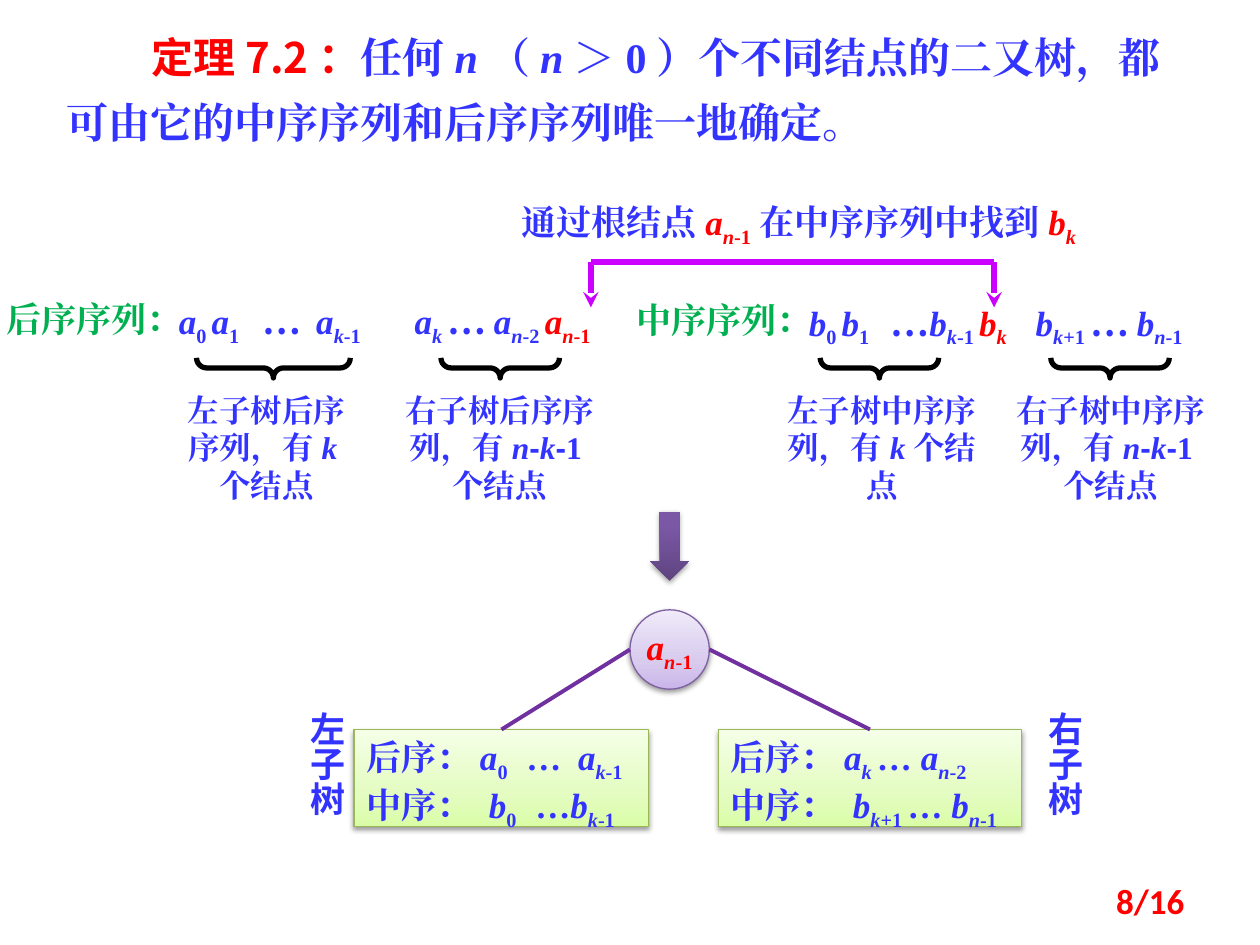
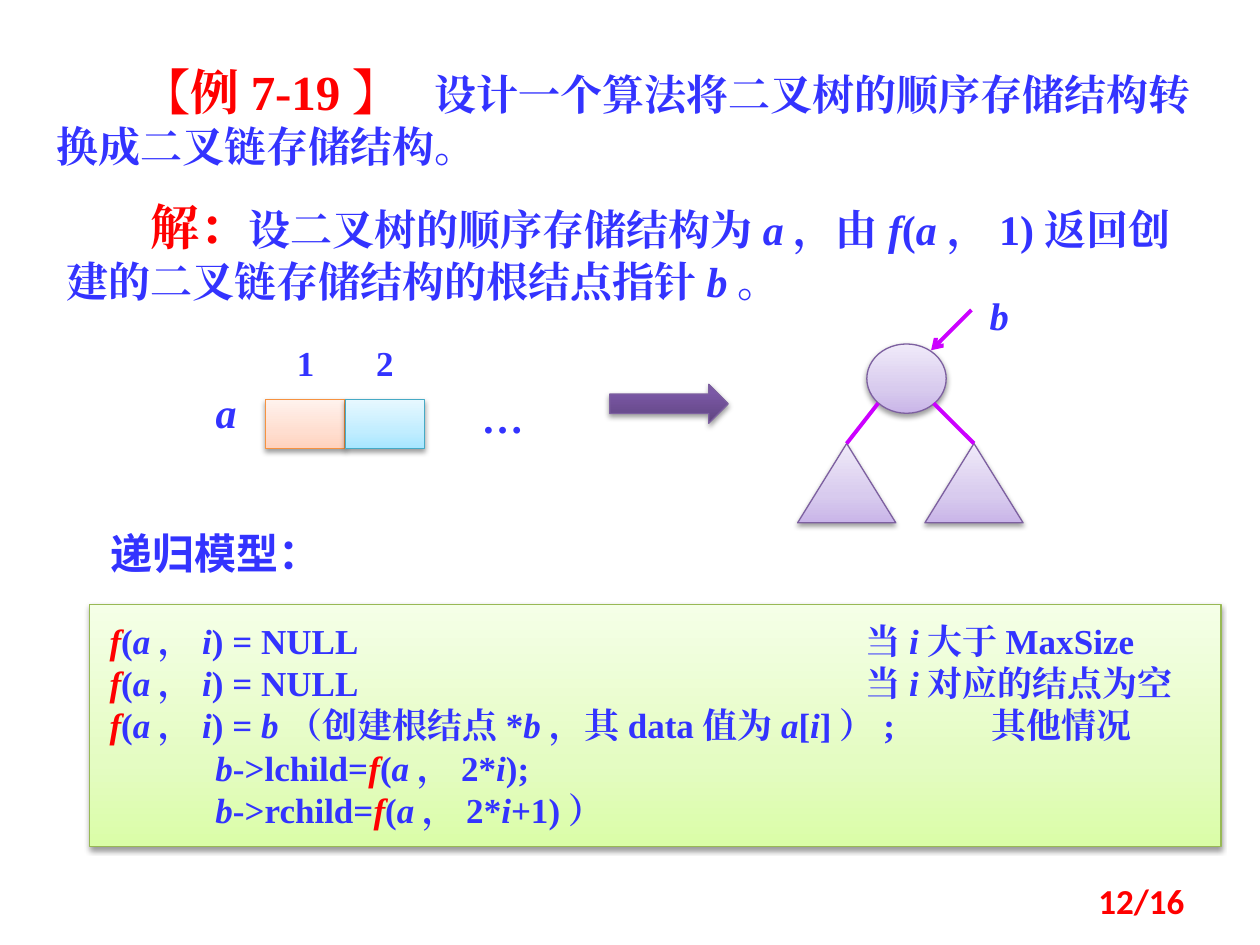
from pptx import Presentation
from pptx.dml.color import RGBColor
from pptx.enum.shapes import MSO_CONNECTOR, MSO_SHAPE
from pptx.enum.text import MSO_ANCHOR, MSO_AUTO_SIZE, PP_ALIGN
from pptx.oxml import parse_xml
from pptx.oxml.ns import nsdecls
from pptx.util import Emu, Inches, Pt

COLOURS = {"text": "3333FF", "key": "FF0000", "label": "00B050", "brace": "000000",
           "pointer": "CC00FF", "branch": "7030A0"}
GRADIENTS = {
    "node": [(0, "C9B5E8"), (35, "D8CBEE"), (100, "F0EAF9")],
    "panel": [(0, "DAFDA7"), (35, "E4FCC2"), (100, "F5FFE7")],
    "first": [(0, "FFD2BD"), (35, "FFDED0"), (100, "FFF2ED")],
    "second": [(0, "A7E6FF"), (35, "C1EDFF"), (100, "E7F8FF")],
    "arrow": [(0, "5F4480"), (80, "7B58A6"), (100, "7C57A8")],
}
OUTLINES = {"node": "7D60A0", "panel": "98B955", "first": "F69240",
            "second": "46AAC5", "arrow": "7D60A0"}
SERIF, SANS, HYPHEN, NUMERALS = "Times New Roman", "Noto Sans CJK SC", "Arial", "Calibri"
MARKS = {"~": "italic", "_": "subscript", "^": "key", "@": "sans", "%": "hyphen", "#": "big"}
PADDED = (0.1, 0.05)
FLUSH = (0, 0)


def rgb(value):
    return RGBColor.from_string(value)


def assign(target, values):
    for name, value in values.items():
        setattr(target, name, value)


def marked_pieces(line):
    """Yield (text, active styles); each character of MARKS switches its style on or off."""
    active, text = set(), ""
    for char in line:
        if char in MARKS:
            if text:
                yield text, frozenset(active)
            active ^= {MARKS[char]}
            text = ""
        else:
            text += char
    if text:
        yield text, frozenset(active)


def add_runs(paragraph, line, size, colour, font):
    for text, styles in marked_pieces(line):
        run = paragraph.add_run()
        run.text = text
        face = SANS if "sans" in styles else HYPHEN if "hyphen" in styles else font
        assign(run.font, {"size": Pt(28 if "big" in styles else size), "name": face,
                          "bold": True, "italic": "italic" in styles})
        run.font.color.rgb = rgb(COLOURS["key" if "key" in styles else colour])
        properties = run._r.get_or_add_rPr()
        if "subscript" in styles:
            properties.set("baseline", "-25000")
        properties.find("{*}latin").addnext(
            parse_xml(f'<a:ea {nsdecls("a")} typeface="{face}"/>'))


def set_tabs(paragraph, stops):
    tabs = "".join(f'<a:tab pos="{Inches(stop)}" algn="l"/>' for stop in stops)
    paragraph._p.get_or_add_pPr().append(
        parse_xml(f'<a:tabLst {nsdecls("a")}>{tabs}</a:tabLst>'))


def write(shape, lines, size=20, colour="text", font=SERIF, align=PP_ALIGN.LEFT,
          insets=PADDED, anchor=MSO_ANCHOR.TOP, tabs=(), indent=0, spacing=None):
    """Fill a shape with marked lines; tabs holds one list of stops per line."""
    frame = shape.text_frame
    across, down = map(Inches, insets)
    assign(frame, {"word_wrap": True, "auto_size": MSO_AUTO_SIZE.NONE,
                   "vertical_anchor": anchor, "margin_left": across,
                   "margin_right": across, "margin_top": down, "margin_bottom": down})
    for index, line in enumerate(lines):
        paragraph = frame.paragraphs[0] if index == 0 else frame.add_paragraph()
        if index < len(tabs) and tabs[index]:
            set_tabs(paragraph, tabs[index])
        assign(paragraph, {"alignment": align, "line_spacing": spacing})
        if indent:
            paragraph._p.get_or_add_pPr().set("indent", str(Inches(indent)))
        add_runs(paragraph, line, size, colour, font)


def add_text(slide, box, *lines, **style):
    label = slide.shapes.add_textbox(*map(Inches, box))
    write(label, lines, **style)
    return label


def add_title(slide, box, line, **style):
    title = slide.shapes.title
    assign(title, dict(zip(("left", "top", "width", "height"), map(Inches, box))))
    write(title, [line], size=24, indent=0.67, **style)


def add_page_number(slide, number):
    add_text(slide, (7.17, 6.95, 2.33, 0.4), f"{number}/16", colour="key", font=NUMERALS,
             align=PP_ALIGN.RIGHT, anchor=MSO_ANCHOR.MIDDLE)


def add_solid(slide, kind, box, look, outlined=True):
    """Add a preset shape with a vertical gradient and a soft shadow."""
    solid = slide.shapes.add_shape(kind, *map(Inches, box))
    stops = "".join(f'<a:gs pos="{position * 1000}"><a:srgbClr val="{colour}"/></a:gs>'
                    for position, colour in GRADIENTS[look])
    solid._element.spPr.find("{*}prstGeom").addnext(parse_xml(
        f'<a:gradFill {nsdecls("a")} rotWithShape="1"><a:gsLst>{stops}</a:gsLst>'
        '<a:lin ang="16200000" scaled="1"/></a:gradFill>'))
    if outlined:
        solid.line.color.rgb = rgb(OUTLINES[look])
        solid.line.width = Pt(0.75)
    else:
        solid.line.fill.background()
    solid.shadow.inherit = False
    solid._element.spPr.find("{*}effectLst").append(parse_xml(
        f'<a:outerShdw {nsdecls("a")} blurRad="{Pt(3.1)}" dist="{Pt(1.6)}" dir="5400000" '
        'rotWithShape="0"><a:srgbClr val="000000"><a:alpha val="38000"/></a:srgbClr>'
        '</a:outerShdw>'))
    return solid


def add_line(slide, start, end, colour, width, head=None, target=None):
    """Draw a line; it joins the top of target when one is given."""
    line = slide.shapes.add_connector(MSO_CONNECTOR.STRAIGHT, *map(Inches, (*start, *end)))
    if target is not None:
        line.end_connect(target, 0)
    line.line.color.rgb = rgb(COLOURS[colour])
    line.line.width = Pt(width)
    if head:
        line.line._get_or_add_ln().append(
            parse_xml(f'<a:tailEnd {nsdecls("a")} type="{head}"/>'))
    line._element.spPr.append(parse_xml(f'<a:effectLst {nsdecls("a")}/>'))


def add_brace(slide, centre, top, length):
    """Draw a brace that lies flat and points down."""
    depth = 0.16
    brace = slide.shapes.add_shape(
        MSO_SHAPE.LEFT_BRACE, Inches(centre - depth / 2),
        Inches(top + depth / 2 - length / 2), Inches(depth), Inches(length))
    brace.rotation = 270
    brace.adjustments[0] = 0.5
    brace.fill.background()
    brace.line.color.rgb = rgb(COLOURS["brace"])
    brace.line.width = Pt(3)
    brace.shadow.inherit = False


def add_sequence(slide, box, name, terms, stops, parts):
    """Place a named sequence; parts are (caption left, width, brace centre, length, caption)."""
    left, top, width = box
    add_text(slide, (left, top, 1.5, 0.33), name, colour="label",
             align=PP_ALIGN.CENTER, insets=FLUSH)
    add_text(slide, (left + 1.42, top + 0.02, width, 0.34), terms, insets=FLUSH, tabs=[stops])
    for offset, caption_width, centre, length, caption in parts:
        add_brace(slide, left + centre, 2.84, length)
        add_text(slide, (left + offset, 3.1, caption_width, 0.91), caption, size=18,
                 align=PP_ALIGN.CENTER, insets=FLUSH)


def add_root_lookup(slide, box):
    left, top, width, drop = box
    right = left + width
    add_line(slide, (left, top), (right, top), "pointer", 3)
    for x in (left, right):
        add_line(slide, (x, top), (x, top + drop), "pointer", 3, "stealth")
    add_text(slide, (left - 0.55, top - 0.49, 4.63, 0.34),
             "通过根结点^~a~_~n~-1_^在中序序列中找到^~b~_~k~_^", insets=FLUSH)


def add_subtrees(slide, box):
    left, top = box
    root_left, root_size = left + 2.73, 0.63
    root = add_solid(slide, MSO_SHAPE.OVAL, (root_left, top, root_size, root_size), "node")
    write(root, ["^~a~_~n~-1_^"], align=PP_ALIGN.CENTER, insets=(0, 0.05),
          anchor=MSO_ANCHOR.MIDDLE)
    subtrees = [
        ("左子树", 0, 0.54, 2.34, root_left,
         ["后序：~a~_0_\t…\t~a~_~k~-1_", "中序： ~b~_0_\t…~b~_~k~-1_"],
         [[1.27, 1.68], [1.34]]),
        ("右子树", 5.86, 3.43, 2.41, root_left + root_size,
         ["后序：~a~_~k~ _… ~a~_~n~-2_", "中序： ~b~_~k~+1 _… ~b~_~n~-1_"], []),
    ]
    for name, name_offset, offset, width, start, orders, tabs in subtrees:
        panel = add_solid(slide, MSO_SHAPE.RECTANGLE,
                          (left + offset, top + 0.95, width, 0.77), "panel")
        write(panel, orders, tabs=tabs)
        label = add_text(slide, (left + name_offset, top + 0.71, 0.54, 1.33), name,
                         font=SANS, align=PP_ALIGN.CENTER)
        label.text_frame._txBody.bodyPr.set("vert", "eaVert")
        add_line(slide, (start, top + root_size / 2),
                 (left + offset + width / 2, top + 0.95), "branch", 2.25, target=panel)


def add_array(slide, box):
    left, top = box
    cell = 0.63
    add_text(slide, (left, top + 0.36, 0.47, 0.5), "~a~", size=24, align=PP_ALIGN.CENTER)
    for index, look in enumerate(("first", "second")):
        x = left + 0.55 + index * cell
        add_solid(slide, MSO_SHAPE.RECTANGLE, (x, top + 0.51, cell, 0.39), look)
        add_text(slide, (x + 0.08, top, 0.47, 0.44), str(index + 1), align=PP_ALIGN.CENTER)
    add_text(slide, (left + 1.96, top + 0.4, 0.94, 0.5), "…", size=24, align=PP_ALIGN.CENTER)


def add_linked_tree(slide, box):
    left, top = box
    add_solid(slide, MSO_SHAPE.OVAL, (left + 0.55, top + 0.46, 0.63, 0.55), "node")
    add_line(slide, (left + 1.38, top + 0.19), (left + 1.06, top + 0.51),
             "pointer", 2.25, "arrow")
    add_text(slide, (left + 1.25, top, 0.7, 0.47), "~b~", size=22, align=PP_ALIGN.CENTER)
    for offset, start in ((0, 0.64), (1.01, 1.08)):
        child = add_solid(slide, MSO_SHAPE.ISOSCELES_TRIANGLE,
                          (left + offset, top + 1.25, 0.78, 0.63), "node")
        add_line(slide, (left + start, top + 0.93), (left + offset + 0.39, top + 1.25),
                 "pointer", 2.25, target=child)


def add_recursive_model(slide, box):
    left, top, width, height = box
    add_text(slide, (left + 0.07, top - 0.66, 2.11, 0.5), "递归模型：", size=24, font=SANS)
    call = "^~f~^(~a~，"
    panel = add_solid(slide, MSO_SHAPE.RECTANGLE, box, "panel")
    write(panel, [
        f"{call}~i~) = NULL\t当~i~大于MaxSize",
        f"{call}~i~) = NULL\t当~i~对应的结点为空",
        f"{call}~i~) = ~b~（创建根结点*~b~，其data值为~a~[~i~]）;\t其他情况",
        f"~b~->lchild={call}2*~i~);",
        f"~b~->rchild={call}2*~i~+1)）",
    ], insets=(0.16, 0.12), tabs=[[6], [6], [7]])
    for assignment in panel.text_frame.paragraphs[3:]:
        assignment._p.get_or_add_pPr().set("marL", str(Inches(0.84)))


def build_theorem(slide):
    add_title(slide, (0.43, 0.08, 8.9, 1.15),
              "^@定理7.2：@^任何~n~（~n~＞0）个不同结点的二又树，都"
              "可由它的中序序列和后序序列唯一地确定。", spacing=1.3)
    right_count = "列，有~n~%-%~k~%-%1个结点"
    add_sequence(
        slide, (0, 2.36, 3.66), "后序序列：",
        "~a~_0 _~a~_1_\t@…@\t~a~_~k~-1_\t~a~_~k~ _@… @~a~_~n~-2 _^~a~_~n~-1_^",
        [0.66, 1.09, 1.87],
        [(1.41, 1.41, 2.17, 1.22, "左子树后序序列，有~k~个结点"),
         (3.18, 1.57, 3.97, 0.94, "右子树后序序" + right_count)])
    add_sequence(
        slide, (5, 2.37, 3.11), "中序序列：",
        "~b~_0 _~b~_1_\t@…@~b~_~k~-1 _^~b~_~k~_^\t~b~_~k~+1 _@… @~b~_~n~-1_",
        [0.65, 1.8],
        [(1.25, 1.5, 1.98, 0.94, "左子树中序序列，有~k~个结点"),
         (3.03, 1.57, 3.81, 0.94, "右子树中序序" + right_count)])
    add_root_lookup(slide, (4.69, 2.08, 3.2, 0.36))
    add_solid(slide, MSO_SHAPE.DOWN_ARROW, (5.16, 4.06, 0.31, 0.55), "arrow", outlined=False)
    add_subtrees(slide, (2.27, 4.84))
    add_page_number(slide, 8)


def build_example(slide):
    add_title(slide, (0.35, 0.44, 9.26, 0.98),
              "^#【例7-19】#^\t设计一个算法将二叉树的顺序存储结构转换成二叉链存储结构。",
              tabs=[[2.92]])
    add_text(slide, (0.43, 1.51, 9.26, 0.98),
             "^#解：#^设二叉树的顺序存储结构为~a~，由~f~(~a~，1)返回创"
             "建的二叉链存储结构的根结点指针~b~。", size=24, indent=0.67)
    add_array(slide, (1.56, 2.66))
    add_solid(slide, MSO_SHAPE.RIGHT_ARROW, (4.84, 3.05, 0.94, 0.31), "arrow")
    add_linked_tree(slide, (6.33, 2.27))
    add_recursive_model(slide, (0.71, 4.8, 8.98, 1.92))
    add_page_number(slide, 12)


def main():
    deck = Presentation()
    assign(deck, {"slide_width": Inches(10), "slide_height": Inches(7.5)})
    for build in (build_theorem, build_example):
        build(deck.slides.add_slide(deck.slide_layouts[5]))
    deck.save("out.pptx")


if __name__ == "__main__":
    main()
